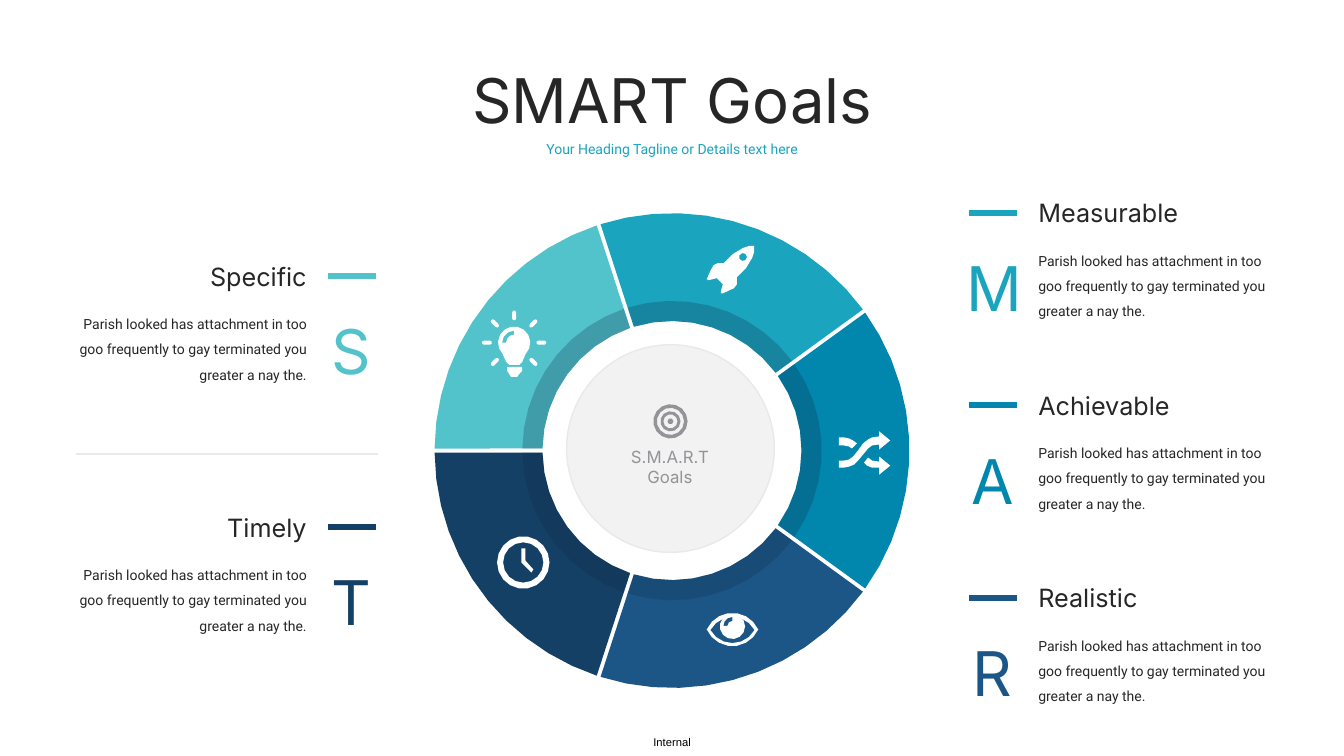
from math import asin, cos, degrees, radians, sin, sqrt

from lxml.etree import SubElement
from pptx import Presentation
from pptx.dml.color import RGBColor
from pptx.enum.shapes import MSO_CONNECTOR, MSO_SHAPE
from pptx.enum.text import PP_ALIGN
from pptx.oxml.ns import qn
from pptx.util import Inches, Pt

AQUA = RGBColor(0x52, 0xC3, 0xCB)
TEAL = RGBColor(0x1B, 0xA4, 0xBE)
OCEAN = RGBColor(0x01, 0x87, 0xAE)
BLUE = RGBColor(0x1C, 0x56, 0x87)
NAVY = RGBColor(0x15, 0x40, 0x65)
SHADE = RGBColor(0x0E, 0x2B, 0x44)
INK = RGBColor(0x26, 0x26, 0x26)
GRAY = RGBColor(0x93, 0x93, 0x98)
RULE = RGBColor(0xE9, 0xE9, 0xEA)
DISC = RGBColor(0xF2, 0xF2, 0xF2)
WHITE = RGBColor(0xFF, 0xFF, 0xFF)
BLACK = RGBColor(0, 0, 0)

presentation = Presentation()
presentation.slide_width = Inches(13.33)
presentation.slide_height = Inches(7.5)
slide = presentation.slides.add_slide(presentation.slide_layouts[6])


def arc(x, y, radius, start=0, end=360):
    """Points along an arc; angles in degrees, counterclockwise from the right."""
    steps = max(2, round(abs(end - start) * sqrt(radius) / 10))
    angles = [radians(start + (end - start) * i / steps) for i in range(steps + 1)]
    return [(x + radius * cos(a), y - radius * sin(a)) for a in angles]


def add_outline(contours, color, opacity=100):
    """One filled shape from closed contours; inner contours are holes."""
    builder = None
    for contour in contours:
        points = [(Inches(x), Inches(y)) for x, y in contour]
        if builder is None:
            builder = slide.shapes.build_freeform(*points[0])
        else:
            builder.move_to(*points[0])
        builder.add_line_segments(points[1:], close=True)
    shape = builder.convert_to_shape()
    shape.shadow.inherit = False
    shape.fill.solid()
    shape.fill.fore_color.rgb = color
    shape.line.fill.background()
    if opacity < 100:
        fill_color = shape._element.spPr.find(".//" + qn("a:srgbClr"))
        SubElement(fill_color, qn("a:alpha"), val=str(opacity * 1000))


# Ring: five wedges with parallel gaps, then a darker inner band
RING_X, RING_Y, HALF_GAP = 6.665, 4.47, 0.02
INNER, BAND, OUTER = 1.285, 1.485, 2.355
wedge_colors = [OCEAN, TEAL, AQUA, NAVY, BLUE]
for outer_radius, opacity in [(OUTER, 100), (BAND, 25)]:
    for index, color in enumerate(wedge_colors):
        start, end = 72 * index - 36, 72 * index + 36
        outer_gap = degrees(asin(HALF_GAP / outer_radius))
        inner_gap = degrees(asin(HALF_GAP / INNER))
        wedge = arc(RING_X, RING_Y, outer_radius, start + outer_gap, end - outer_gap)
        wedge += arc(RING_X, RING_Y, INNER, end - inner_gap, start + inner_gap)
        add_outline([wedge], color if opacity == 100 else SHADE, opacity)

# Centre disc with target icon
disc = slide.shapes.add_shape(
    MSO_SHAPE.OVAL, Inches(5.62), Inches(3.42), Inches(2.06), Inches(2.06))
disc.shadow.inherit = False
disc.fill.solid()
disc.fill.fore_color.rgb = DISC
disc.line.color.rgb = RULE
disc.line.width = Pt(1)
add_outline([arc(6.65, 4.18, r) for r in (0.17, 0.135, 0.1, 0.07, 0.03)], GRAY)

# Rocket
rocket = [
    (7.31, 2.75), (7.4, 2.66), (7.46, 2.56), (7.48, 2.5), (7.48, 2.44),
    (7.43, 2.44), (7.37, 2.46), (7.27, 2.52), (7.18, 2.61),
    (7.12, 2.61), (7.08, 2.63), (7.05, 2.68), (7.01, 2.77), (7.03, 2.78), (7.11, 2.76),
    (7.17, 2.82), (7.15, 2.89), (7.15, 2.91), (7.17, 2.91), (7.28, 2.86), (7.31, 2.82)]
add_outline([rocket, arc(7.37, 2.55, 0.04)], WHITE)

# Crossing arrows
rising_arrow = [
    (8.32, 4.57), (8.37, 4.57), (8.42, 4.56), (8.46, 4.53), (8.51, 4.47), (8.56, 4.4),
    (8.61, 4.36), (8.65, 4.34), (8.72, 4.33), (8.72, 4.28), (8.83, 4.37),
    (8.72, 4.46), (8.72, 4.41), (8.65, 4.42), (8.61, 4.45), (8.56, 4.51),
    (8.51, 4.57), (8.47, 4.61), (8.42, 4.63), (8.37, 4.64), (8.32, 4.64)]
upper_tail = [
    (8.32, 4.34), (8.37, 4.34), (8.42, 4.35), (8.46, 4.37), (8.5, 4.4),
    (8.45, 4.45), (8.42, 4.43), (8.37, 4.42), (8.32, 4.42)]
lower_head = [
    (8.61, 4.54), (8.65, 4.57), (8.72, 4.58), (8.72, 4.53), (8.83, 4.62),
    (8.72, 4.71), (8.72, 4.64), (8.65, 4.64), (8.6, 4.62), (8.57, 4.59)]
add_outline([rising_arrow, upper_tail, lower_head], WHITE)

# Clock
add_outline([arc(5.19, 5.58, 0.26), arc(5.19, 5.58, 0.2)], WHITE)
add_outline([[(5.17, 5.44), (5.17, 5.58), (5.27, 5.68),
              (5.29, 5.65), (5.21, 5.56), (5.21, 5.44)]], WHITE)

# Eye: lid, then iris with highlight
lid = arc(7.265, 6.36, 0.28, 24, 156) + arc(7.265, 6.13, 0.28, 204, 336)
opening = arc(7.265, 6.37, 0.25, 29, 151) + arc(7.265, 6.13, 0.25, 209, 331)
add_outline([lid, opening], WHITE)
iris_glint = arc(7.265, 6.21, 0.09, 90, 180) + arc(7.265, 6.21, 0.05, 180, 90)
add_outline([arc(7.265, 6.215, 0.125), iris_glint], WHITE)

# Light bulb with seven rays
BULB_X, BULB_Y = 5.1, 3.4
bulb = arc(BULB_X, BULB_Y, 0.16, -45, 225)
bulb += [(5.02, 3.59), (5.05, 3.62), (5.15, 3.62), (5.18, 3.59)]
glint = arc(BULB_X, BULB_Y, 0.12, 90, 180) + arc(BULB_X, BULB_Y, 0.08, 180, 90)
socket = [(5.03, 3.64), (5.18, 3.64), (5.18, 3.68), (5.15, 3.71),
          (5.13, 3.74), (5.07, 3.74), (5.05, 3.71), (5.03, 3.68)]
rays = []
for angle in range(-45, 226, 45):
    across, up = cos(radians(angle)), sin(radians(angle))
    tip = arc(BULB_X + 0.3 * across, BULB_Y - 0.3 * up, 0.02, angle - 90, angle + 90)
    base = arc(BULB_X + 0.24 * across, BULB_Y - 0.24 * up, 0.02, angle + 90, angle + 270)
    rays.append(tip + base)
add_outline([bulb, glint, socket] + rays, WHITE)

# Texts: left, top, width, height, text, size, font, colour, alignment
LEFT, CENTER, RIGHT = PP_ALIGN.LEFT, PP_ALIGN.CENTER, PP_ALIGN.RIGHT
BODY = "Parish looked has attachment in too goo frequently to gay terminated you greater a nay the."
texts = [
    (3.67, 0.57, 6, 0.84, "SMART Goals", 44, "Inter", INK, CENTER),
    (5.26, 1.34, 2.81, 0.27, "Your Heading Tagline or Details text here", 10, "Roboto", TEAL, CENTER),
    (6.13, 4.38, 1.03, 0.51, "S.M.A.R.T\nGoals", 12, "Inter", GRAY, CENTER),
    (6.48, 7.3, 0.4, 0.13, "Internal", 8, "Arial", BLACK, LEFT)]

# Lines: left, right, height on slide, colour, weight
lines = [(0.75, 3.75, 4.5, RULE, 1.5)]

# Goal cards on both sides of the ring
cards = [
    ("Specific", "S", AQUA, RIGHT, 2.54),
    ("Timely", "T", NAVY, RIGHT, 5.03),
    ("Measurable", "M", TEAL, LEFT, 1.91),
    ("Achievable", "A", OCEAN, LEFT, 3.82),
    ("Realistic", "R", BLUE, LEFT, 5.73)]
for goal, letter, color, alignment, top in cards:
    if alignment == RIGHT:
        body_left, goal_left, letter_left, bar_left = 0.61, 1.39, 3.13, 3.25
    else:
        body_left, goal_left, letter_left, bar_left = 10.2, 10.2, 9.49, 9.61
    texts += [
        (goal_left, top, 1.75, 0.4, goal, 18, "Inter", INK, alignment),
        (body_left, top + 0.46, 2.53, 0.83, BODY, 10, "Roboto", INK, alignment),
        (letter_left, top + 0.52, 0.71, 0.84, letter, 44, "Inter", color, CENTER)]
    lines.append((bar_left, bar_left + 0.48, top + 0.2, color, 4.5))

for left, top, width, height, text, size, font, color, alignment in texts:
    box = slide.shapes.add_textbox(Inches(left), Inches(top), Inches(width), Inches(height))
    frame = box.text_frame
    frame.word_wrap = True
    if text == "Internal":
        frame.margin_left = frame.margin_right = frame.margin_top = frame.margin_bottom = 0
    frame.text = text
    for paragraph in frame.paragraphs:
        paragraph.alignment = alignment
        if text == BODY:
            paragraph.line_spacing = 1.5
        paragraph.font.size = Pt(size)
        paragraph.font.name = font
        paragraph.font.color.rgb = color

for left, right, y, color, weight in lines:
    line = slide.shapes.add_connector(
        MSO_CONNECTOR.STRAIGHT, Inches(left), Inches(y), Inches(right), Inches(y))
    line.line.color.rgb = color
    line.line.width = Pt(weight)
    SubElement(line._element.spPr, qn("a:effectLst"))

presentation.save("out.pptx")
